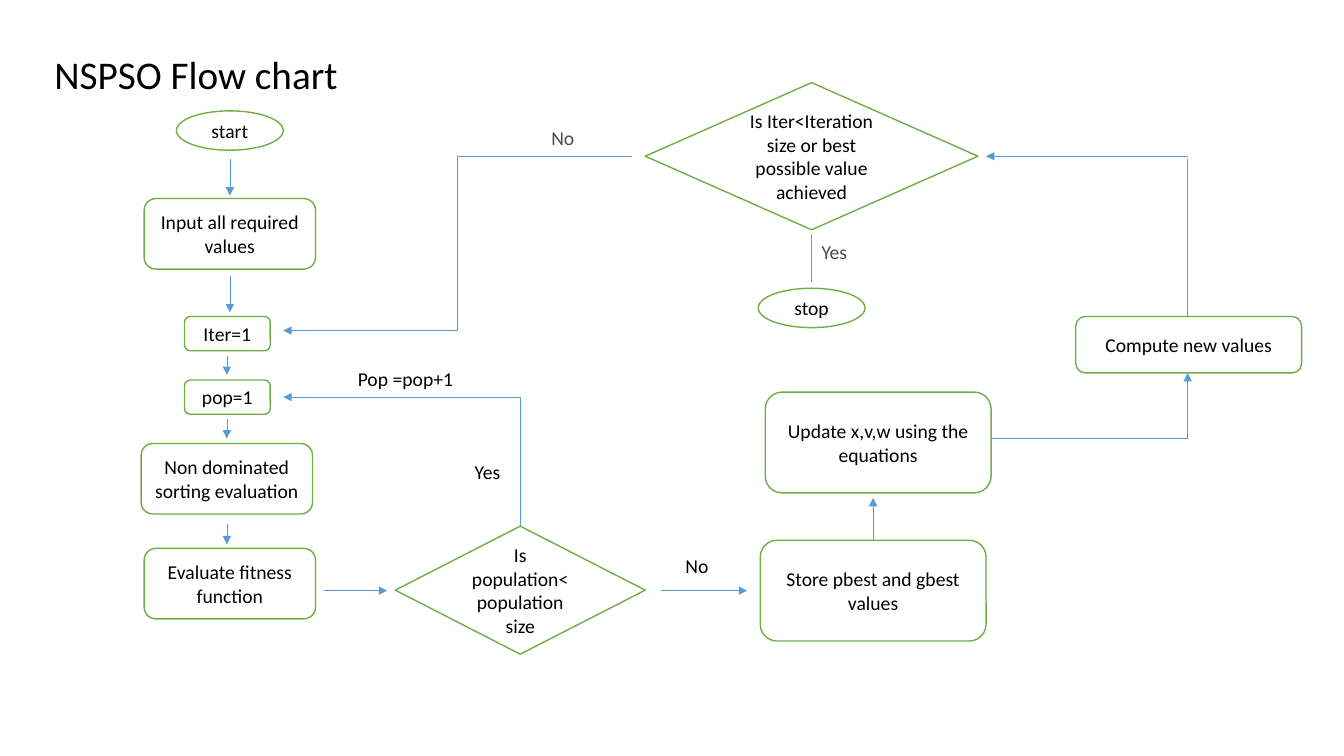
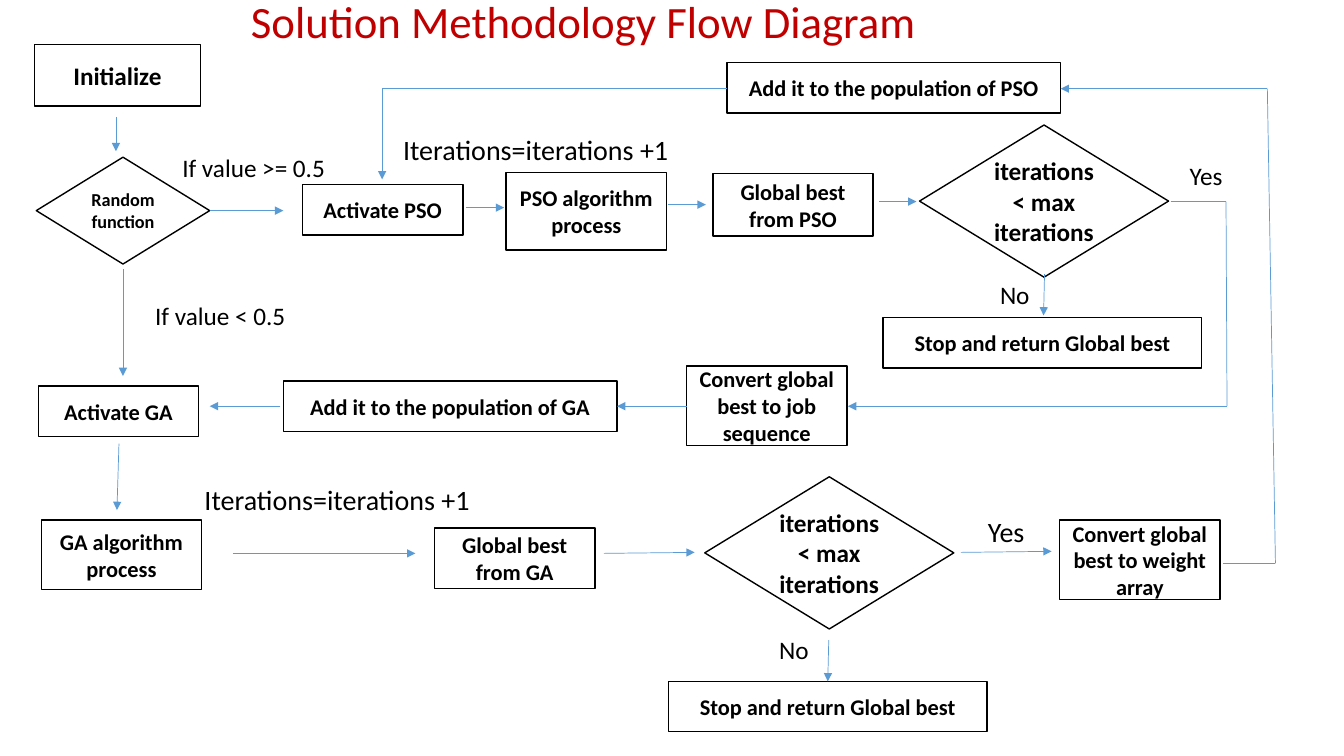
"""Build two flow chart slides: the NSPSO loop and the PSO/GA solution method."""
from dataclasses import dataclass

from lxml import etree
from pptx import Presentation
from pptx import util as u
from pptx.dml.color import RGBColor
from pptx.enum import shapes, text
from pptx.oxml.ns import qn

COLORS = {
    "paper": "FFFFFF",
    "ink": "000000",
    "muted": "514843",
    "green": "70AD47",
    "blue": "5B9BD5",
    "red": "C00000",
}
FONT = "Calibri"
LINE_HEIGHT = 1.22
BLANK_LAYOUT = 6
Point = tuple[float, float]

OVAL = shapes.MSO_SHAPE.OVAL
ROUNDED = shapes.MSO_SHAPE.ROUNDED_RECTANGLE
DIAMOND = shapes.MSO_SHAPE.DIAMOND
PROCESS = shapes.MSO_SHAPE.FLOWCHART_PROCESS
DECISION = shapes.MSO_SHAPE.FLOWCHART_DECISION
STRAIGHT = shapes.MSO_CONNECTOR.STRAIGHT
ELBOW = shapes.MSO_CONNECTOR.ELBOW


@dataclass(frozen=True)
class Node:
    kind: shapes.MSO_SHAPE
    words: str
    left: float
    top: float
    width: float
    height: float
    size: int


@dataclass(frozen=True)
class Label:
    words: str
    left: float
    top: float
    width: float
    size: int
    color: str = "ink"


@dataclass(frozen=True)
class Route:
    points: tuple[Point, ...]
    arrow: bool = True
    kind: shapes.MSO_CONNECTOR = STRAIGHT


@dataclass(frozen=True)
class Chart:
    outline: str
    bold: bool
    nodes: list[Node]
    routes: list[Route]
    labels: list[Label]


def rgb(name: str) -> RGBColor:
    return RGBColor.from_string(COLORS[name])


def style_paragraph(paragraph, size: int, color: str = "ink", bold: bool = False) -> None:
    font = paragraph.font
    font.name, font.size, font.bold = FONT, u.Pt(size), bold
    font.color.rgb = rgb(color)


def draw_node(slide, node: Node, outline: str, bold: bool) -> None:
    box = map(u.Inches, (node.left, node.top, node.width, node.height))
    shape = slide.shapes.add_shape(node.kind, *box)
    shape.shadow.inherit = False
    shape.fill.solid()
    shape.fill.fore_color.rgb = rgb("paper")
    shape.line.color.rgb = rgb(outline)
    shape.line.width = u.Pt(1)
    frame = shape.text_frame
    frame.word_wrap = True
    frame.vertical_anchor = text.MSO_ANCHOR.MIDDLE
    frame.text = node.words
    paragraph = frame.paragraphs[0]
    paragraph.alignment = text.PP_ALIGN.CENTER
    style_paragraph(paragraph, node.size, bold=bold)


def draw_label(slide, label: Label):
    height = round(label.size * LINE_HEIGHT / 72 + 0.1, 2)
    box = map(u.Inches, (label.left, label.top, label.width, height))
    frame = slide.shapes.add_textbox(*box).text_frame
    frame.word_wrap = False
    frame.auto_size = text.MSO_AUTO_SIZE.SHAPE_TO_FIT_TEXT
    frame.text = label.words
    style_paragraph(frame.paragraphs[0], label.size, label.color)
    return frame


def draw_route(slide, route: Route) -> None:
    for start, end in zip(route.points, route.points[1:]):
        ends = map(u.Inches, (*start, *end))
        connector = slide.shapes.add_connector(route.kind, *ends)
        connector.line.color.rgb = rgb("blue")
        connector.line.width = u.Pt(0.5)
        if route.arrow and end == route.points[-1]:
            line = connector.line._get_or_add_ln()
            etree.SubElement(line, qn("a:tailEnd"), type="triangle")
        etree.SubElement(connector._element.spPr, qn("a:effectLst"))


def draw_chart(slide, chart: Chart) -> None:
    for node in chart.nodes:
        draw_node(slide, node, chart.outline, chart.bold)
    for route in chart.routes:
        draw_route(slide, route)
    for label in chart.labels:
        draw_label(slide, label)


def rounded(words: str, left: float, top: float, width: float, height: float) -> Node:
    return Node(ROUNDED, words, left, top, width, height, 14)


def process(words: str, left: float, top: float, height: float = 0.5,
            width: float = 1.59, size: int = 16) -> Node:
    return Node(PROCESS, words, left, top, width, height, size)


def down(x: float, top: float, length: float) -> Route:
    return Route(((x, top), (x, top + length)))


NSPSO = Chart(
    outline="green",
    bold=False,
    nodes=[
        Node(OVAL, "start", 1.75, 1.1, 1.06, 0.39, 14),
        rounded("Input all required values", 1.43, 1.97, 1.7, 0.7),
        rounded("Iter=1", 1.83, 3.14, 0.85, 0.34),
        rounded("pop=1", 1.83, 3.77, 0.85, 0.34),
        rounded("Non dominated sorting evaluation", 1.4, 4.4, 1.7, 0.7),
        rounded("Evaluate fitness function", 1.43, 5.44, 1.7, 0.7),
        Node(DIAMOND, "Is population<population size", 3.92, 5.22, 2.48, 1.27, 14),
        rounded("Store pbest and gbest values", 7.54, 5.36, 2.24, 1),
        rounded("Update x,v,w using the equations", 7.59, 3.89, 2.24, 1),
        rounded("Compute new values", 10.67, 3.14, 2.24, 0.56),
        Node(DIAMOND, "Is Iter<Iteration size or best possible value achieved",
             6.4, 0.82, 3.3, 1.46, 14),
        Node(OVAL, "stop", 7.52, 2.86, 1.06, 0.39, 14),
    ],
    routes=[
        down(2.28, 1.58, 0.36),
        down(2.28, 2.74, 0.36),
        down(2.25, 3.53, 0.19),
        down(2.25, 4.16, 0.19),
        down(2.25, 5.2, 0.2),
        Route(((3.21, 5.86), (3.84, 5.86))),
        Route(((5.16, 5.22), (5.16, 3.94), (2.81, 3.94))),
        Route(((6.56, 5.86), (7.41, 5.86))),
        Route(((8.66, 5.36), (8.66, 4.94))),
        Route(((9.83, 4.35), (11.78, 4.35), (11.78, 3.7))),
        Route(((11.78, 3.14), (11.78, 1.58)), arrow=False),
        Route(((11.78, 1.55), (9.78, 1.55))),
        Route(((8.05, 2.8), (8.05, 2.32)), arrow=False),
        Route(((6.27, 1.55), (2.81, 3.28)), kind=ELBOW),
    ],
    labels=[
        Label("NSPSO Flow chart", 0.44, 0.45, 3.04, 28),
        Label("Pop =pop+1", 3.45, 3.59, 1.29, 14),
        Label("Yes", 4.61, 4.51, 0.5, 14),
        Label("No", 6.7, 5.45, 0.46, 14),
        Label("Yes", 8.05, 2.33, 0.5, 14, "muted"),
        Label("No", 5.37, 1.2, 0.46, 14, "muted"),
    ],
)

SOLUTION = Chart(
    outline="ink",
    bold=True,
    nodes=[
        process("Initialize", 0.34, 0.44, 0.61, 1.65, 18),
        Node(DECISION, "Random function", 0.36, 1.56, 1.72, 1.06, 13),
        process("Activate PSO", 3, 1.83),
        process("PSO algorithm process", 5.02, 1.71, 0.77),
        process("Global best from PSO", 7.07, 1.72, 0.62),
        process("Activate GA", 0.38, 3.83),
        process("GA algorithm process", 0.41, 5.16, 0.69),
        process("Global best from GA", 4.31, 5.24, 0.6),
        process("Convert global best to weight array", 10.51, 5.16, 0.79),
        process("Convert global best to job sequence", 6.81, 3.63, 0.79),
        process("Add it to the population of GA", 2.81, 3.78, width=3.31),
        process("Add it to the population of PSO", 7.21, 0.62, width=3.31),
        *(Node(DECISION, "iterations< max iterations", left, top, 2.47, 1.51, 18)
          for left, top in ((9.12, 1.24), (6.99, 4.73))),
        *(process("Stop and return Global best", left, top, width=3.16)
          for left, top in ((8.76, 3.15), (6.63, 6.76))),
    ],
    routes=[
        down(1.15, 1.16, 0.34),
        down(1.22, 2.67, 1.06),
        Route(((2.08, 2.09), (2.81, 2.09))),
        Route(((4.62, 2.06), (5, 2.06))),
        Route(((6.63, 2.03), (7, 2.03))),
        Route(((8.72, 2), (9.09, 2))),
        Route(((10.36, 2.72), (10.35, 3.13))),
        Route(((11.61, 2), (12.16, 2), (12.17, 4.03), (8.41, 4.03))),
        Route(((6.81, 4.03), (6.12, 4.03))),
        Route(((2.78, 4.03), (2.08, 4.03))),
        Route(((1.18, 4.4), (1.16, 5.06))),
        Route(((2.31, 5.49), (4.12, 5.49))),
        Route(((5.99, 5.49), (6.89, 5.48))),
        Route(((8.22, 6.35), (8.21, 6.76))),
        Route(((9.53, 5.48), (10.43, 5.47))),
        Route(((12.13, 5.59), (12.65, 5.59), (12.57, 0.88), (10.52, 0.88))),
        Route(((7.21, 0.88), (3.79, 0.88), (3.79, 1.78))),
    ],
    labels=[
        Label("If value >= 0.5", 1.71, 1.46, 1.64, 18),
        Label("If value < 0.5", 1.44, 2.93, 1.51, 18),
        Label("Iterations=iterations +1", 3.9, 1.27, 2.86, 20),
        Label("Iterations=iterations +1", 1.93, 4.74, 2.86, 20),
        Label("Yes", 11.7, 1.54, 0.59, 18),
        Label("No", 9.82, 2.72, 0.53, 18),
        Label("Yes", 9.7, 5.06, 0.57, 20),
        Label("No", 7.63, 6.24, 0.53, 18),
    ],
)


def draw_solution_title(slide) -> None:
    title = Label("Solution Methodology Flow Diagram", 2.39, 0, 9.84, 32, "red")
    frame = draw_label(slide, title)
    frame.word_wrap = True
    frame.auto_size = text.MSO_AUTO_SIZE.NONE
    frame.margin_top = 0
    frame.paragraphs[0].line_spacing = 0.9


def main() -> None:
    presentation = Presentation()
    presentation.slide_width = u.Inches(13.33)
    presentation.slide_height = u.Inches(7.5)
    blank = presentation.slide_layouts[BLANK_LAYOUT]
    for chart in (NSPSO, SOLUTION):
        slide = presentation.slides.add_slide(blank)
        draw_chart(slide, chart)
    draw_solution_title(slide)
    presentation.save("out.pptx")


main()
